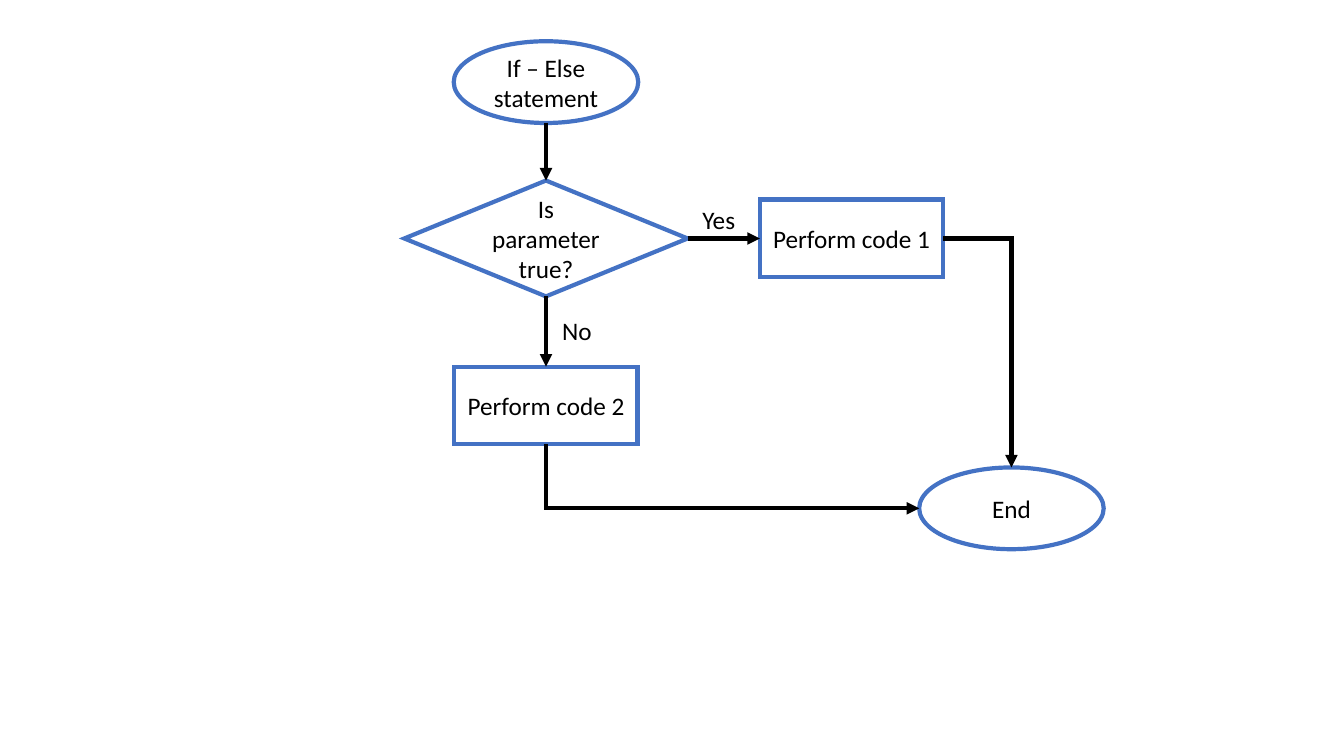
from lxml.etree import SubElement
from pptx import Presentation
from pptx.dml.color import RGBColor
from pptx.enum.shapes import MSO_CONNECTOR, MSO_SHAPE
from pptx.enum.text import MSO_ANCHOR, MSO_AUTO_SIZE, PP_ALIGN
from pptx.oxml.ns import qn
from pptx.util import Cm, Pt

OVAL = MSO_SHAPE.OVAL
CHOICE = MSO_SHAPE.FLOWCHART_DECISION
BOX = MSO_SHAPE.RECTANGLE
STRAIGHT = MSO_CONNECTOR.STRAIGHT
ELBOW = MSO_CONNECTOR.ELBOW
CENTER = PP_ALIGN.CENTER
LEFT = PP_ALIGN.LEFT
MIDDLE = MSO_ANCHOR.MIDDLE
FIT = MSO_AUTO_SIZE.SHAPE_TO_FIT_TEXT

BLUE = RGBColor(0x44, 0x72, 0xC4)
BLACK = RGBColor(0, 0, 0)
FONT = "Calibri"

SIZES = {OVAL: (4.65, 2.06), CHOICE: (7.14, 2.92), BOX: (4.62, 1.96)}
MAIN, TEST = 13.76, 6.01

NODES = {
    "start": (OVAL, MAIN, 2.07, "If – Else statement"),
    "test": (CHOICE, MAIN, TEST, "Is parameter true?"),
    "code 1": (BOX, 21.46, TEST, "Perform code 1"),
    "code 2": (BOX, MAIN, 10.22, "Perform code 2"),
    "end": (OVAL, 25.49, 12.81, "End"),
}
LABELS = [("Yes", 17.45, 5.03), ("No", 13.92, 7.82)]
LINKS = [
    ("start", "bottom", "test", "top"),
    ("test", "right", "code 1", "left"),
    ("test", "bottom", "code 2", "top"),
    ("code 1", "right", "end", "top"),
    ("code 2", "bottom", "end", "left"),
]
SIDES = {"top": (0, -1), "left": (-1, 0), "bottom": (0, 1), "right": (1, 0)}


def write(shape, text, align):
    para = shape.text_frame.paragraphs[0]
    para.text = text
    para.alignment = align
    para.font.name = FONT
    para.font.size = Pt(18)
    para.font.color.rgb = BLACK


def stroke(shape, color):
    shape.line.color.rgb = color
    shape.line.width = Pt(3)
    ln = shape.line._get_or_add_ln()
    SubElement(ln, qn("a:miter"), lim="800000")
    return ln


def add_node(kind, x, y, text):
    wide, high = SIZES[kind]
    node = slide.shapes.add_shape(
        kind, Cm(x - wide / 2), Cm(y - high / 2), Cm(wide), Cm(high))
    node.shadow.inherit = False
    node.fill.background()
    stroke(node, BLUE)
    node.text_frame.word_wrap = True
    node.text_frame.vertical_anchor = MIDDLE
    write(node, text, CENTER)
    return node


def add_label(text, x, y):
    label = slide.shapes.add_textbox(Cm(x), Cm(y), Cm(1.6), Cm(1.02))
    label.text_frame.word_wrap = True
    label.text_frame.auto_size = FIT
    write(label, text, LEFT)


def port(name, side):
    kind, x, y, _ = NODES[name]
    wide, high = SIZES[kind]
    dx, dy = SIDES[side]
    return Cm(x + dx * wide / 2), Cm(y + dy * high / 2)


def glue(link, tag, name, side):
    site = list(SIDES).index(side) * (2 if NODES[name][0] == OVAL else 1)
    SubElement(link.element.nvCxnSpPr.cNvCxnSpPr, qn(tag),
               id=str(shapes[name].shape_id), idx=str(site))


def add_link(source, out, target, into):
    (x1, y1), (x2, y2) = port(source, out), port(target, into)
    bent = x1 != x2 and y1 != y2
    link = slide.shapes.add_connector(ELBOW if bent else STRAIGHT, x1, y1, x2, y2)
    props = link.element.spPr
    if bent:
        props.find(qn("a:prstGeom")).set("prst", "bentConnector2")
    if bent and out == "bottom":
        wide, high = y2 - y1, x2 - x1
        link.left, link.top = (x1 + x2 - wide) // 2, (y1 + y2 - high) // 2
        link.width, link.height = wide, high
        turn = props.find(qn("a:xfrm"))
        turn.set("rot", str(270 * 60000))
        turn.set("flipH", "1")
    glue(link, "a:stCxn", source, out)
    glue(link, "a:endCxn", target, into)
    SubElement(stroke(link, BLACK), qn("a:tailEnd"), type="triangle")
    SubElement(props, qn("a:effectLst"))


deck = Presentation()
deck.slide_width, deck.slide_height = Cm(33.87), Cm(19.05)
slide = deck.slides.add_slide(deck.slide_layouts[6])

shapes = {name: add_node(*node) for name, node in NODES.items()}
for label in LABELS:
    add_label(*label)
for link in LINKS:
    add_link(*link)

deck.save("out.pptx")
